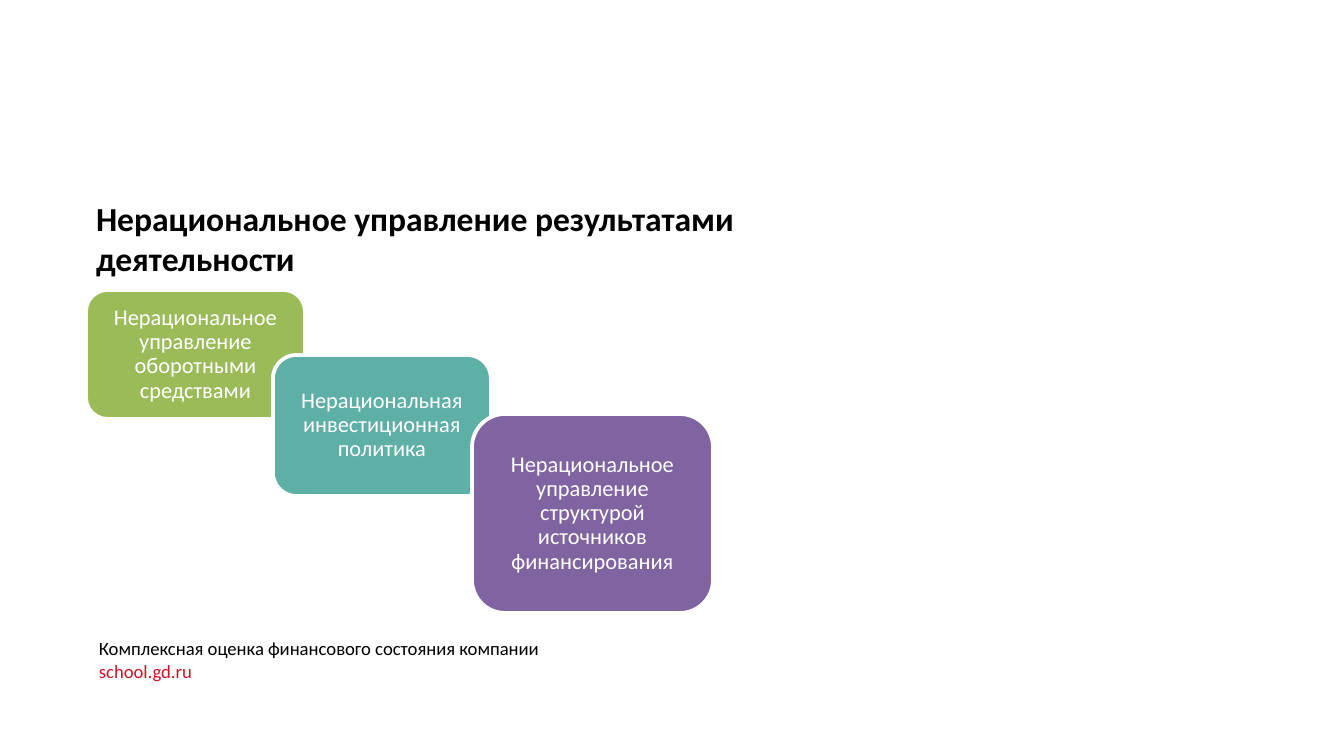
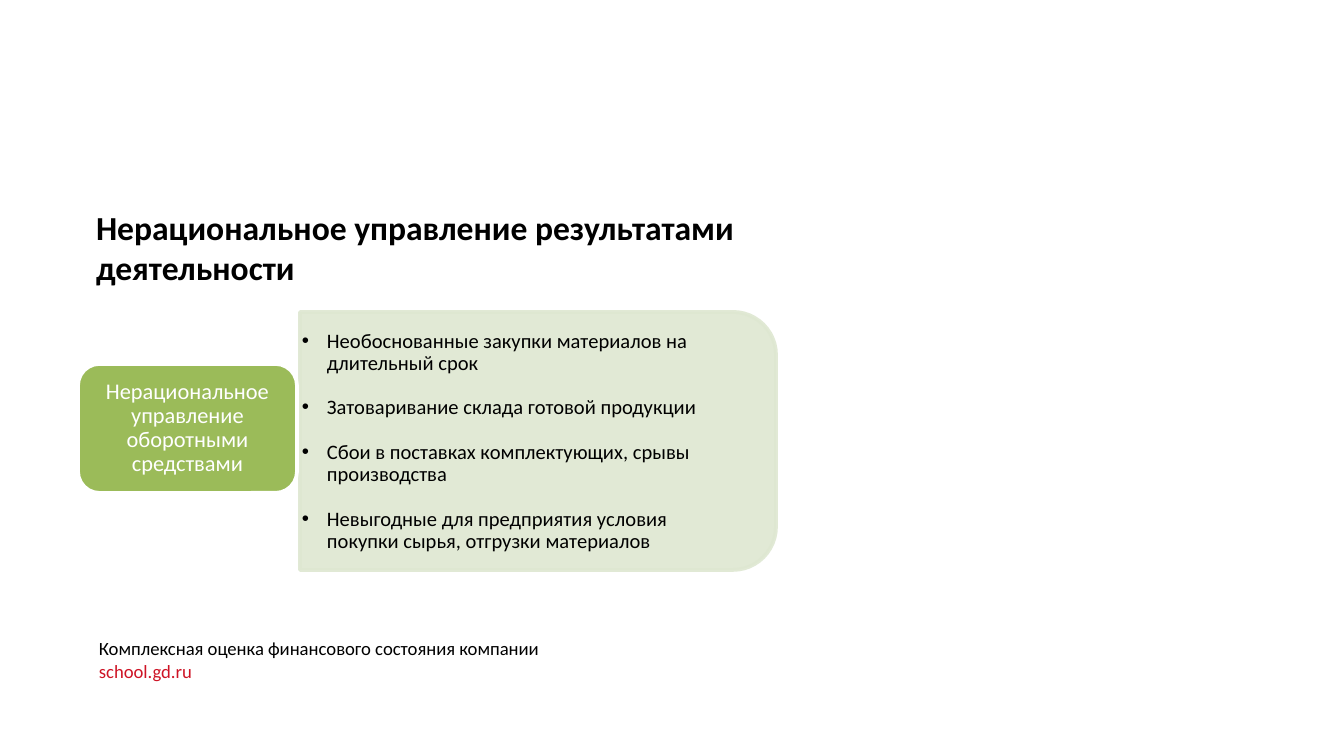
import pptx
import pptx.util
import pptx.dml.color
import pptx.enum.shapes
import pptx.enum.text
import pptx.oxml
import pptx.oxml.ns
from lxml import etree

# Content
TITLE = "Нерациональное управление результатами деятельности"
FOOTER = [("Комплексная оценка финансового состояния компании", "000000"),
          ("school.gd.ru", "CE1325")]
CAPITAL = "Нерациональное управление оборотными средствами"
GREEN = "9BBB59"
STEPS = [  # text, fill, (left, top, width, height)
    (CAPITAL, GREEN, (86, 290, 219, 129)),
    ("Нерациональная инвестиционная политика", "5EAFA6", (273, 355, 218, 141)),
    ("Нерациональное управление структурой источников финансирования", "8064A2",
     (472, 414, 241, 199)),
]
PROBLEMS = [
    "Необоснованные закупки материалов на длительный срок",
    "Затоваривание склада готовой продукции",
    "Сбои в поставках комплектующих, срывы производства",
    "Невыгодные для предприятия условия покупки сырья, отгрузки материалов",
]

# Shared style
FONT = "Calibri"
PANEL = "DEE7D1"
SHAPE = pptx.enum.shapes.MSO_SHAPE
ALIGN = pptx.enum.text.PP_ALIGN
ANCHOR = pptx.enum.text.MSO_ANCHOR
AUTO = pptx.enum.text.MSO_AUTO_SIZE
Pt = pptx.util.Pt
EMU_PER_PX = 914400 / 134.4


def px(n):
    return pptx.util.Emu(round(n * EMU_PER_PX))


def rgb(value):
    return pptx.dml.color.RGBColor.from_string(value)


def put(target, **values):
    for name, value in values.items():
        setattr(target, name, value)


def place(sp, left, top, width, height):
    put(sp, left=px(left), top=px(top), width=px(width), height=px(height))


def frame(sp, inset_x, inset_y, anchor, wrap=True, auto=AUTO.NONE):
    tf = sp.text_frame
    put(tf, word_wrap=wrap, auto_size=auto, vertical_anchor=anchor,
        margin_left=px(inset_x), margin_right=px(inset_x),
        margin_top=px(inset_y), margin_bottom=px(inset_y))
    return tf


def write(p, text, size, color="000000", bold=False, **layout):
    put(p, **{"alignment": ALIGN.LEFT, "space_before": Pt(0), **layout})
    r = p.add_run()
    r.text = text
    put(r.font, name=FONT, size=Pt(size), bold=bold)
    r.font.color.rgb = rgb(color)


def paragraphs(tf, count):
    return [tf.paragraphs[0]] + [tf.add_paragraph() for _ in range(count - 1)]


def add_block(s, kind, box, fill, line):
    sp = s.shapes.add_shape(kind, *map(px, box))
    sp.shadow.inherit = False
    sp.fill.solid()
    sp.fill.fore_color.rgb = rgb(fill)
    sp.line.color.rgb = rgb(line)
    sp.line.width = Pt(2)
    return sp


def add_card(s, text, fill, box):
    sp = add_block(s, SHAPE.ROUNDED_RECTANGLE, box, fill, "FFFFFF")
    tf = frame(sp, 9, 4, ANCHOR.MIDDLE)
    write(tf.paragraphs[0], text, 12, "FFFFFF", alignment=ALIGN.CENTER, line_spacing=0.9)


def add_panel(s, left, top, width, height):
    # Turned a quarter so that the rounded corners are on the right
    box = (left + (width - height) / 2, top + (height - width) / 2, height, width)
    sp = add_block(s, SHAPE.ROUND_2_SAME_RECTANGLE, box, PANEL, PANEL)
    sp.rotation = 90
    for color in sp._element.spPr.iter(pptx.oxml.ns.qn("a:srgbClr")):
        etree.SubElement(color, pptx.oxml.ns.qn("a:alpha"), val="90000")


def fill_list(s, body, items, box):
    place(body, *box)
    s.shapes._spTree.append(body._element)  # bring in front of the panel
    tf = frame(body, 36, 19, ANCHOR.MIDDLE)
    for p, text in zip(paragraphs(tf, len(items)), items):
        pPr = p._p.get_or_add_pPr()
        pPr.set("marL", str(px(25)))
        pPr.set("indent", str(-px(25)))
        etree.SubElement(pPr, pptx.oxml.ns.qn("a:buFont"), typeface="Arial")
        etree.SubElement(pPr, pptx.oxml.ns.qn("a:buChar"), char="•")
        write(p, text, 11, line_spacing=0.9, space_after=Pt(12))


def add_slide(prs, layout, title_top):
    s = prs.slides.add_slide(prs.slide_layouts[layout])
    place(s.shapes.title, 83, title_top, 786, 62)
    tf = frame(s.shapes.title, 13, 7, ANCHOR.TOP)
    write(tf.paragraphs[0], TITLE, 18, bold=True)

    footer = s.shapes.add_textbox(*map(px, (86, 630, 474, 59)))
    tf = frame(footer, 13, 7, ANCHOR.TOP, wrap=False, auto=AUTO.SHAPE_TO_FIT_TEXT)
    for p, (text, color) in zip(paragraphs(tf, len(FOOTER)), FOOTER):
        write(p, text, 10, color)
    return s


def main():
    prs = pptx.Presentation()
    put(prs, slide_width=px(1344), slide_height=px(756))

    # Slide 1: stepped cards
    s = add_slide(prs, 5, 191)
    for text, fill, box in STEPS:
        add_card(s, text, fill, box)

    # Slide 2: one card with its list of problems
    s = add_slide(prs, 1, 200)
    add_panel(s, 300, 312, 476, 258)
    fill_list(s, s.placeholders[1], PROBLEMS, (266, 325, 501, 233))
    add_card(s, CAPITAL, GREEN, (78, 364, 219, 129))

    prs.save("out.pptx")


if __name__ == "__main__":
    main()
